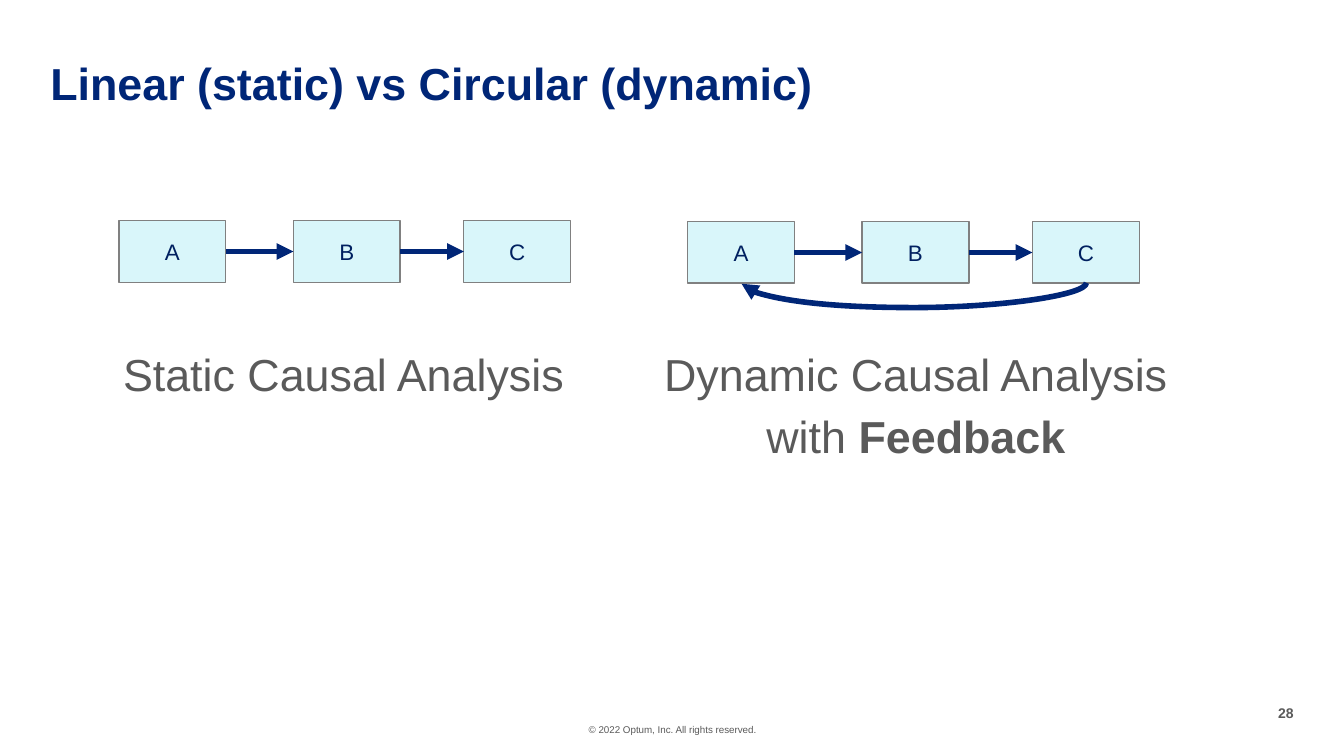
from lxml.etree import SubElement
from pptx import Presentation
from pptx.dml.color import RGBColor
from pptx.enum.shapes import MSO_CONNECTOR, MSO_SHAPE
from pptx.enum.text import MSO_ANCHOR, PP_ALIGN
from pptx.oxml.ns import qn
from pptx.util import Pt

PX = 9144  # 100 px to the inch
COLORS = {"navy": "002677", "ink": "002060", "gray": "5A5A5A",
          "pale": "D9F6FA", "edge": "808080"}
TITLE = {"size": Pt(32), "bold": True}
LABEL = {"size": Pt(32)}
NODE = {"size": Pt(16)}
NOTE = {"size": Pt(7)}
PAGE = {"size": Pt(10), "bold": True}
LEFT, MID, RIGHT = PP_ALIGN.LEFT, PP_ALIGN.CENTER, PP_ALIGN.RIGHT


def color(name):
    return RGBColor.from_string(COLORS[name])


def write(frame, lines, style, tint, align):
    """Fill a text frame; each line is a list of (text, extra style) runs."""
    for i, line in enumerate(lines):
        para = frame.add_paragraph() if i else frame.paragraphs[0]
        para.alignment = align
        if i:
            para.space_before = Pt(6)
        for text, extra in line:
            run = para.add_run()
            run.text = text
            run.font.color.rgb = color(tint)
            for key, value in {"name": "Arial", **style, **extra}.items():
                setattr(run.font, key, value)


def add_text(slide, box, lines, style, tint="gray", align=LEFT, wrap=True):
    frame = slide.shapes.add_textbox(*(n * PX for n in box)).text_frame
    for side in ("left", "top", "right", "bottom"):
        setattr(frame, "margin_" + side, 0)
    frame.word_wrap = wrap
    write(frame, lines, style, tint, align)
    return frame


def add_node(slide, box, name):
    node = slide.shapes.add_shape(MSO_SHAPE.RECTANGLE, *(n * PX for n in box))
    node.shadow.inherit = False
    node.fill.solid()
    node.fill.fore_color.rgb = color("pale")
    node.line.color.rgb = color("edge")
    node.line.width = Pt(1)
    node.text_frame.vertical_anchor = MSO_ANCHOR.MIDDLE
    write(node.text_frame, [[(name, {})]], NODE, "ink", MID)
    return node


def add_arrow(slide, kind, ends=(0, 0, 0, 0)):
    arrow = slide.shapes.add_connector(kind, *(n * PX for n in ends))
    arrow.line.color.rgb = color("navy")
    arrow.line.width = Pt(4)
    SubElement(arrow.line._get_or_add_ln(), qn("a:tailEnd"), type="triangle")
    SubElement(arrow._element.spPr, qn("a:effectLst"))
    return arrow


def add_chain(slide, box):
    """Three nodes A, B, C joined from left to right."""
    left, top, wide, high = box
    nodes = [add_node(slide, (left + step, top, wide, high), name)
             for name, step in zip("ABC", (0, 173, 342))]
    for tail, head in zip(nodes, nodes[1:]):
        arrow = add_arrow(slide, MSO_CONNECTOR.STRAIGHT)
        arrow.begin_connect(tail, 3)
        arrow.end_connect(head, 1)


def add_loop(slide, box, dip=25):
    """Curve from under node C back to node A: a tall, thin bend turned 90°."""
    left, top, wide, high = box
    span = 342
    x = left + wide // 2 + span // 2
    y = top + high - span // 2
    loop = add_arrow(slide, MSO_CONNECTOR.CURVE, (x, y, x + 1, y + span))
    shape = loop._element.spPr
    shape.find(qn("a:xfrm")).set("rot", str(90 * 60000))
    geom = shape.find(qn("a:prstGeom"))
    guides = geom.find(qn("a:avLst"))
    if guides is None:
        guides = SubElement(geom, qn("a:avLst"))
    SubElement(guides, qn("a:gd"), name="adj1", fmla=f"val {dip * 100000}")


def add_static(slide, box):
    left, top, wide, high = box
    add_chain(slide, box)
    add_text(slide, (left + 4, top + 125, 441, 54),
             [[("Static Causal Analysis", {})]], LABEL, wrap=False)


def add_dynamic(slide, box):
    left, top, wide, high = box
    add_chain(slide, box)
    add_loop(slide, box)
    add_text(slide, (left - 25, top + 124, 503, 116),
             [[("Dynamic Causal Analysis", {})],
              [("with ", {}), ("Feedback", {"bold": True})]],
             LABEL, align=MID, wrap=False)


def add_footer(slide):
    add_text(slide, (514, 718, 306, 12),
             [[("© 2022 Optum, Inc. All rights reserved.", {})]],
             NOTE, align=MID)
    add_text(slide, (1266, 699, 17, 17), [[("28", {})]], PAGE,
             align=RIGHT, wrap=False)


def main():
    deck = Presentation()
    deck.slide_width, deck.slide_height = 1333 * PX, 750 * PX
    slide = deck.slides.add_slide(deck.slide_layouts[6])
    title = add_text(slide, (50, 61, 1050, 48),
                     [[("Linear (static) vs Circular (dynamic)", {})]],
                     TITLE, "navy")
    title.paragraphs[0].line_spacing = 0.9
    add_static(slide, (118, 219, 106, 61))
    add_dynamic(slide, (682, 220, 106, 61))
    add_footer(slide)
    deck.save("out.pptx")


if __name__ == "__main__":
    main()
